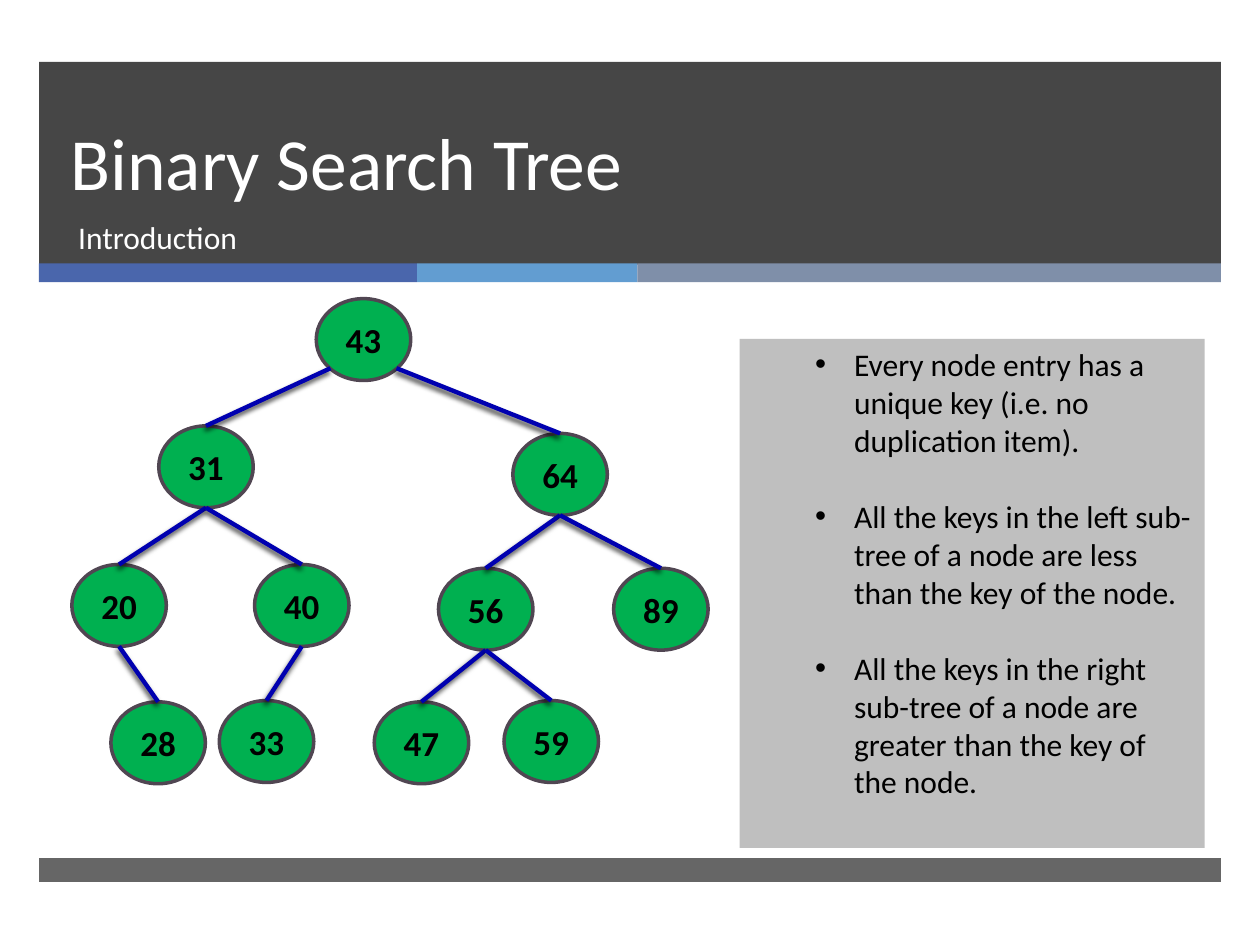
from lxml.etree import SubElement
from pptx import Presentation
from pptx.dml.color import RGBColor
from pptx.enum.shapes import MSO_CONNECTOR, MSO_SHAPE
from pptx.enum.text import MSO_ANCHOR, PP_ALIGN
from pptx.oxml.ns import qn
from pptx.util import Inches, Pt

NODE_WIDTH, NODE_HEIGHT = 0.75, 0.65

# key: (left, top, parent key), parents before children
NODES = {
    43: (2.51, 2.37, None),
    31: (1.26, 3.38, 43),
    64: (4.07, 3.44, 43),
    20: (0.57, 4.48, 31),
    40: (2.02, 4.48, 31),
    56: (3.48, 4.51, 64),
    89: (4.87, 4.51, 64),
    28: (0.88, 5.57, 20),
    33: (1.74, 5.56, 40),
    47: (2.97, 5.57, 56),
    59: (4.00, 5.56, 56),
}

RULES = [
    "Every node entry has a unique key (i.e. no duplication item).",
    "All the keys in the left sub-tree of a node are less than the key of the node.",
    "All the keys in the right sub-tree of a node are greater than the key of the node.",
]


def color(hex_string):
    return RGBColor.from_string(hex_string)


def write(paragraph, text, size=18, hex_color="000000", bold=False, align=PP_ALIGN.LEFT):
    paragraph.alignment = align
    run = paragraph.add_run()
    run.text = text
    run.font.name = "Calibri"
    run.font.size = Pt(size)
    run.font.bold = bold
    run.font.color.rgb = color(hex_color)


def add_filled(slide, kind, box, fill, opacity=100, line=None):
    shape = slide.shapes.add_shape(kind, *map(Inches, box))
    shape.shadow.inherit = False
    shape.fill.solid()
    shape.fill.fore_color.rgb = color(fill)
    if opacity < 100:
        rgb = shape.fill._xPr.find(".//" + qn("a:srgbClr"))
        SubElement(rgb, qn("a:alpha"), val=str(opacity * 1000))
    if line:
        shape.line.color.rgb = color(line)
        shape.line.width = Pt(2)
    else:
        shape.line.fill.background()
    return shape


def fill_placeholder(slide, placeholder, box, text, size, anchor):
    # Bring the placeholder in front of the header band
    slide.shapes._spTree.append(placeholder._element)
    placeholder.left, placeholder.top, placeholder.width, placeholder.height = map(Inches, box)
    placeholder.text_frame.vertical_anchor = anchor
    paragraph = placeholder.text_frame.paragraphs[0]
    write(paragraph, text, size=size, hex_color="FFFFFF")
    return paragraph


def add_header(slide, left, top, width):
    add_filled(slide, MSO_SHAPE.RECTANGLE, (left, top, width, 1.61), "262626", opacity=85)
    # Three-colour strip under the band
    strip_left = left
    for strip_width, fill in ((3, "4A66AC"), (1.75, "629DD1"), (4.63, "7F8FA9")):
        add_filled(slide, MSO_SHAPE.RECTANGLE, (strip_left, top + 1.6, strip_width, 0.15), fill)
        strip_left += strip_width
    title = fill_placeholder(slide, slide.shapes.title, (left + 0.15, top, 8.54, 1.19),
                             "Binary Search Tree", 42, MSO_ANCHOR.BOTTOM)
    title.line_spacing = Pt(46)
    fill_placeholder(slide, slide.placeholders[1], (left + 0.21, top + 1.19, 8.48, 0.53),
                     "Introduction", 18, MSO_ANCHOR.TOP)


def add_rules(slide, box):
    panel = add_filled(slide, MSO_SHAPE.RECTANGLE, box, "BFBFBF")
    frame = panel.text_frame
    frame.word_wrap = True
    frame.vertical_anchor = MSO_ANCHOR.TOP
    for index, rule in enumerate(RULES):
        paragraph = frame.add_paragraph() if index else frame.paragraphs[0]
        paragraph.level = 1
        paragraph.space_before = Pt(22 if index else 0)
        write(paragraph, rule)
        # Hanging bullet
        properties = paragraph._p.get_or_add_pPr()
        properties.set("marL", str(Inches(0.81)))
        properties.set("indent", str(Inches(-0.31)))
        SubElement(properties, qn("a:buFont"), typeface="Arial")
        SubElement(properties, qn("a:buChar"), char="•")


def add_node(slide, key, left, top):
    node = add_filled(slide, MSO_SHAPE.OVAL, (left, top, NODE_WIDTH, NODE_HEIGHT),
                      "00B050", line="504652")
    node.text_frame.vertical_anchor = MSO_ANCHOR.MIDDLE
    write(node.text_frame.paragraphs[0], str(key), size=20, bold=True, align=PP_ALIGN.CENTER)
    return node


def add_edge(slide, start, child):
    end = (child.left + child.width // 2, child.top)
    edge = slide.shapes.add_connector(MSO_CONNECTOR.STRAIGHT, *start, *end)
    edge.end_connect(child, 0)
    edge.line.color.rgb = color("0000B0")
    edge.line.width = Pt(2.5)
    # Soft shadow below the line
    effects = SubElement(edge._element.spPr, qn("a:effectLst"))
    shadow = SubElement(effects, qn("a:outerShdw"), blurRad=str(Pt(3)), dist=str(Pt(2)),
                        dir=str(110 * 60000), rotWithShape="0")
    rgb = SubElement(shadow, qn("a:srgbClr"), val="000000")
    SubElement(rgb, qn("a:alpha"), val="75000")


def add_tree(slide):
    nodes = {key: add_node(slide, key, left, top) for key, (left, top, _) in NODES.items()}
    for key, (left, _, parent_key) in NODES.items():
        if parent_key is None:
            continue
        parent_left, parent_top, grandparent = NODES[parent_key]
        across, down = 0.5, 1
        if grandparent is None:
            # Root edges leave from the lower diagonals of the ellipse
            across, down = (0.15 if left < parent_left else 0.85), 0.85
        start = (Inches(parent_left + across * NODE_WIDTH), Inches(parent_top + down * NODE_HEIGHT))
        add_edge(slide, start, nodes[key])


def main():
    presentation = Presentation()
    presentation.slide_width, presentation.slide_height = Inches(10), Inches(7.5)
    slide = presentation.slides.add_slide(presentation.slide_layouts[0])
    add_header(slide, 0.31, 0.49, 9.38)
    add_filled(slide, MSO_SHAPE.RECTANGLE, (0.31, 6.81, 9.38, 0.19), "262626", opacity=70)
    add_rules(slide, (5.87, 2.69, 3.69, 4.04))
    add_tree(slide)
    presentation.save("out.pptx")


if __name__ == "__main__":
    main()
